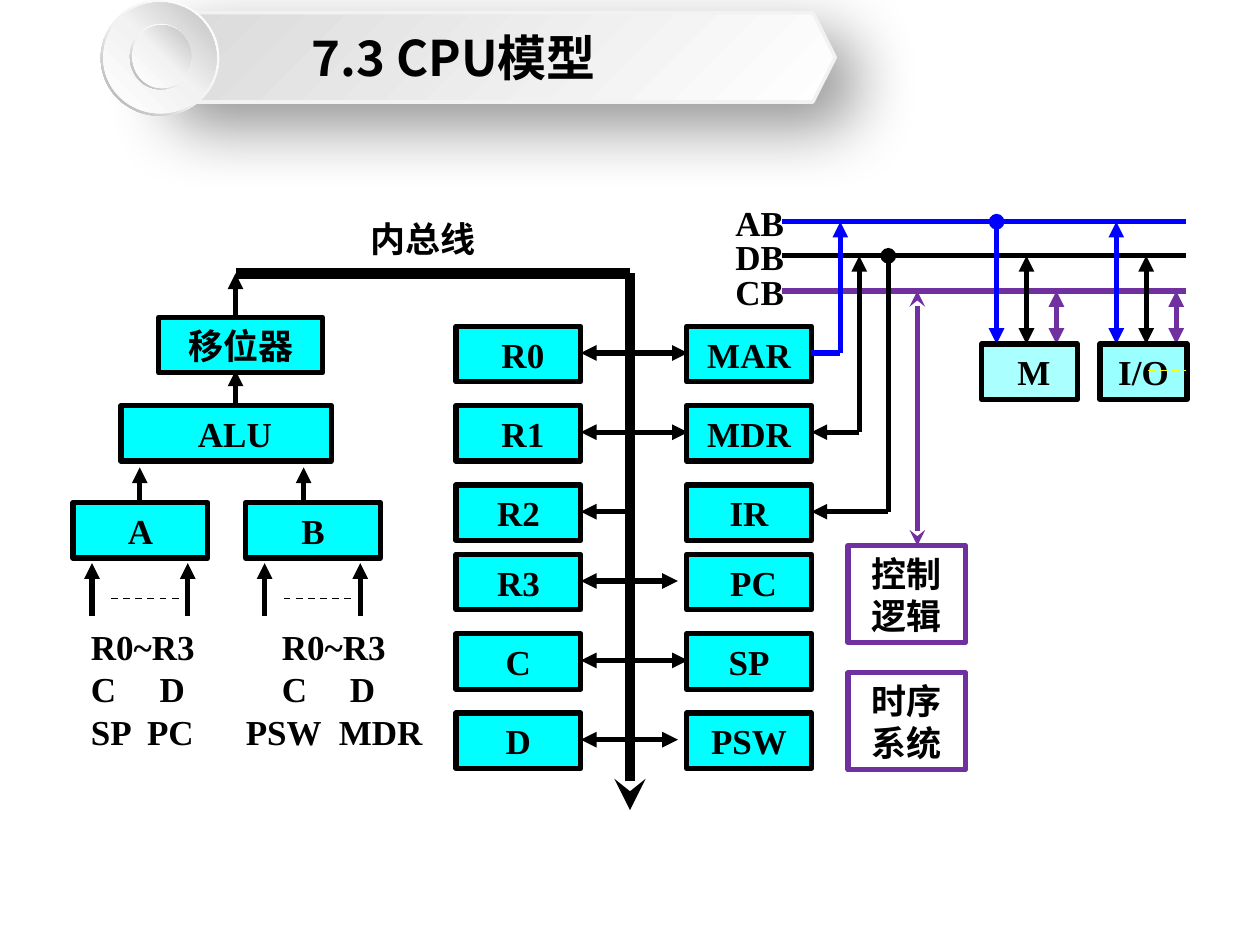
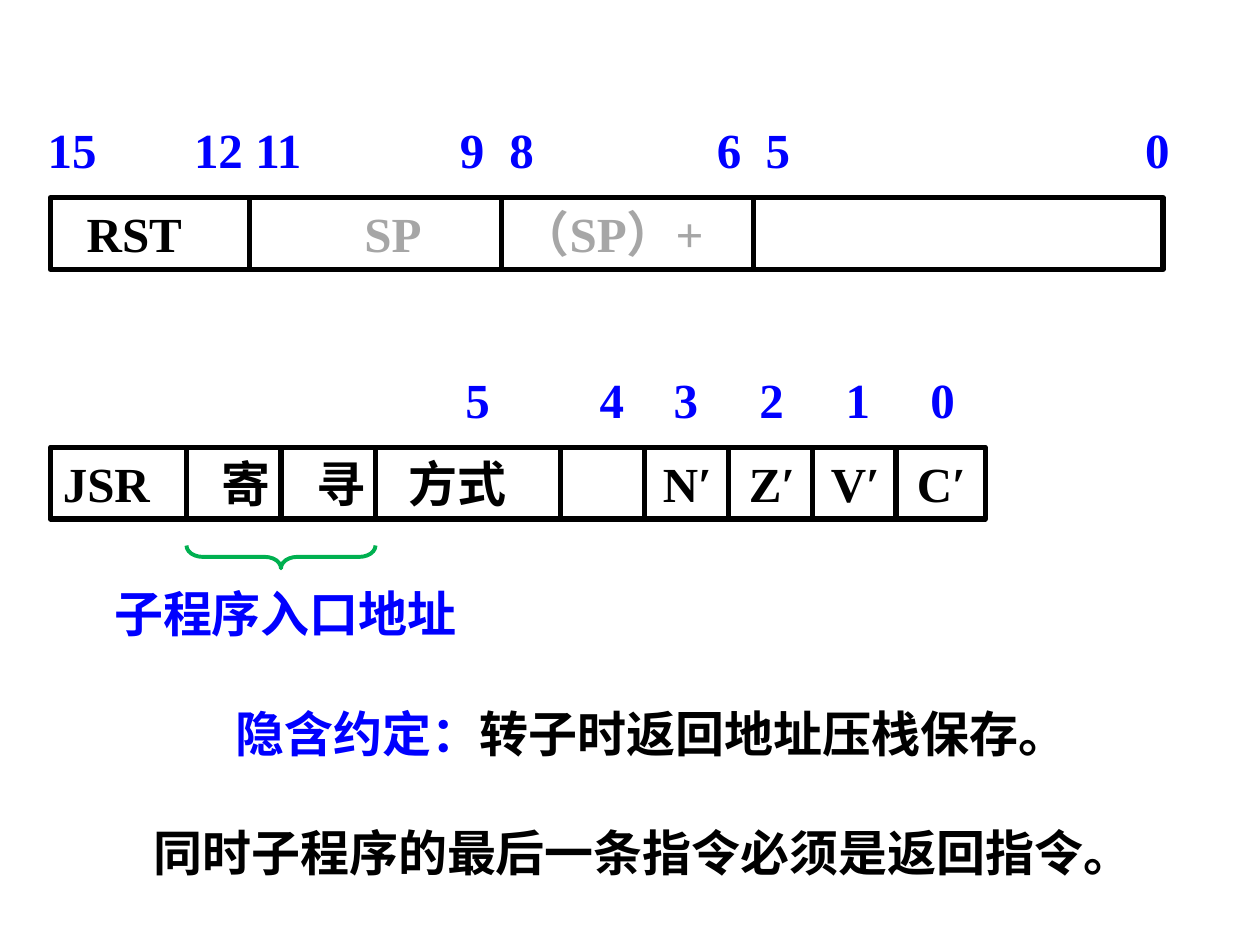
"""Builds two slides: a CPU model diagram and the RST and JSR instruction formats."""
from lxml.etree import SubElement
from pptx import Presentation
from pptx.dml.color import RGBColor
from pptx.enum.dml import MSO_LINE
from pptx.enum.shapes import MSO_CONNECTOR, MSO_SHAPE as SHAPE
from pptx.enum.text import MSO_ANCHOR, PP_ALIGN as ALIGN
from pptx.oxml.ns import qn
from pptx.util import Pt

BLACK = RGBColor(0, 0, 0)
BLUE = RGBColor(0, 0, 255)
PURPLE = RGBColor(0x70, 0x30, 0xA0)
GREEN = RGBColor(0, 0xB0, 0x50)
YELLOW = RGBColor(255, 255, 0)
GREY = RGBColor(0xA6, 0xA6, 0xA6)
PALE_GREY = RGBColor(0xF2, 0xF2, 0xF2)
CYAN = RGBColor(0, 255, 255)
MEMORY_CYAN = RGBColor(0xAA, 255, 255)
IO_CYAN = RGBColor(0x99, 255, 255)

SERIF = "Times New Roman"
SANS = "Noto Sans CJK SC"
INSET = 7.2
BOX_HEIGHT = 31.7
ROW_TOPS = [186.5, 231.8, 277.2, 316.8, 362.2, 407.5]
AB_Y, DB_Y, CB_Y = 126.7, 146.2, 166.3
BUS_X = 360
DEVICE_TOP = 196.6


def format_span(span, size, color, name=SERIF):
    """Give one run its bold font."""
    span.font.size = Pt(size)
    span.font.bold = True
    span.font.name = name
    span.font.color.rgb = color


def write(shape, text, size, color=BLACK, align=ALIGN.CENTER, name=SERIF):
    """Put one formatted paragraph into a shape."""
    frame = shape.text_frame
    frame.word_wrap = True
    frame.text = text
    para = frame.paragraphs[0]
    para.alignment = align
    for span in para.runs:
        format_span(span, size, color, name)


def write_tabbed(para, origin, cells, size, color=BLACK, faded=()):
    """Set words at absolute horizontal places with tab stops."""
    para.alignment = ALIGN.LEFT
    stops = SubElement(para._p.get_or_add_pPr(), qn("a:tabLst"))
    for x, word in cells:
        offset = x - origin
        if offset > 1:
            SubElement(stops, qn("a:tab"), pos=str(Pt(offset)), algn="l")
        span = para.add_run()
        span.text = f"\t{word}" if offset > 1 else word
        format_span(span, size, GREY if word in faded else color)


def add_label(page, text, left, top, width, height, size=20, color=BLACK, align=ALIGN.CENTER):
    """Add a plain text box."""
    label = page.shapes.add_textbox(Pt(left), Pt(top), Pt(width), Pt(height))
    write(label, text, size, color, align)
    return label


def add_outline(page, kind, left, top, width, height, fill=None, line=BLACK, weight=3):
    """Add a preset shape with an optional fill and line and no shadow."""
    shape = page.shapes.add_shape(kind, Pt(left), Pt(top), Pt(width), Pt(height))
    if fill is None:
        shape.fill.background()
    else:
        shape.fill.solid()
        shape.fill.fore_color.rgb = fill
    if line is None:
        shape.line.fill.background()
    else:
        shape.line.color.rgb = line
        shape.line.width = Pt(weight)
    shape.shadow.inherit = False
    return shape


def add_unit(page, text, left, top, width, height=BOX_HEIGHT, fill=CYAN, line=BLACK, shift=0):
    """Add a named block of the processor."""
    unit = add_outline(page, SHAPE.RECTANGLE, left, top, width, height, fill, line)
    write(unit, text, 20)
    unit.text_frame.margin_left = Pt(INSET + shift)


def add_line(page, x1, y1, x2, y2, color=BLACK, weight=3, head=None, tail=None, dashed=False):
    """Add a straight line with optional arrowheads."""
    line = page.shapes.add_connector(MSO_CONNECTOR.STRAIGHT, Pt(x1), Pt(y1), Pt(x2), Pt(y2))
    line.line.color.rgb = color
    line.line.width = Pt(weight)
    if dashed:
        line.line.dash_style = MSO_LINE.DASH
    outline = line.line._get_or_add_ln()
    for tag, kind in (("a:headEnd", head), ("a:tailEnd", tail)):
        if kind:
            SubElement(outline, qn(tag), type=kind)
    SubElement(line._element.spPr, qn("a:effectLst"))


def set_gradient(shape, stops, angle):
    """Replace the solid fill of a shape by a linear gradient."""
    properties = shape._element.spPr
    solid = properties.find(qn("a:solidFill"))
    gradient = SubElement(properties, qn("a:gradFill"), rotWithShape="1")
    properties.replace(solid, gradient)
    stop_list = SubElement(gradient, qn("a:gsLst"))
    for place, color in stops:
        stop = SubElement(stop_list, qn("a:gs"), pos=str(place * 1000))
        SubElement(stop, qn("a:srgbClr"), val=color)
    SubElement(gradient, qn("a:lin"), ang=str(angle * 60000), scaled="0")


def add_soft_shadow(shape):
    """Cast a wide soft shadow to the lower right."""
    effects = shape._element.spPr.find(qn("a:effectLst"))
    shadow = SubElement(effects, qn("a:outerShdw"), blurRad=str(Pt(38)), dist=str(Pt(19)),
                        dir=str(45 * 60000), algn="tl", rotWithShape="0")
    color = SubElement(shadow, qn("a:srgbClr"), val="000000")
    SubElement(color, qn("a:alpha"), val="42000")


def add_title_banner(page, text):
    """Add the hexagon title with its round button."""
    banner = add_outline(page, SHAPE.HEXAGON, 80.6, 7.2, 396.7, 51.1, PALE_GREY, PALE_GREY, 2)
    set_gradient(banner, [(0, "FFFFFF"), (100, "D9D9D9")], 225)
    add_soft_shadow(banner)
    write(banner, text, 28, name=SANS)
    banner.text_frame.margin_right = Pt(INSET + 39)
    for span in banner.text_frame.paragraphs[0].runs:
        SubElement(span.font._element, qn("a:ea"), typeface=SANS)
    rings = [(57.6, 0, 67.7, 66.2), (74.2, 13.7, 35.3, 37.4)]
    discs = [(59, 1.4, 64.8, 63.4), (75.6, 14.4, 33.8, 36)]
    for ring_area, disc_area in zip(rings, discs):
        ring = add_outline(page, SHAPE.DONUT, *ring_area, PALE_GREY, None)
        ring.adjustments[0] = 0.05
        set_gradient(ring, [(0, "FFFFFF"), (55, "F2F2F2"), (100, "A6A6A6")], 135)
        disc = add_outline(page, SHAPE.OVAL, *disc_area, PALE_GREY, None)
        set_gradient(disc, [(0, "FFFFFF"), (51, "F2F2F2"), (100, "BFBFBF")], 315)


def add_arithmetic_units(page):
    """Add the shifter, the ALU, its two latches and their sources."""
    for name, left in (("A", 41.8), ("B", 140.4)):
        for x in (left + 10.8, left + 65.5):
            add_line(page, x, 352, x, 321.8, tail="triangle")
        add_line(page, left + 21.6, 342, left + 60.5, 342, weight=1, dashed=True)
        add_unit(page, name, left, 287.3, 77)
    for x, bottom, top in ((79.9, 287.3, 267.1), (173.5, 287.3, 267.1),
                           (134.6, 231.1, 211.7), (134.6, 181.4, 156.2)):
        add_line(page, x, bottom, x, top, tail="triangle")
    add_unit(page, "移位器", 90.7, 181.4, 93.6)
    add_unit(page, "ALU", 69.1, 231.8, 120.2, shift=10)
    sources = page.shapes.add_textbox(Pt(20.2), Pt(362.2), Pt(235.4), Pt(74.9))
    frame = sources.text_frame
    frame.word_wrap = True
    rows = [[(52, "R0~R3"), (161.2, "R0~R3")],
            [(52, "C"), (91.4, "D"), (161.2, "C"), (200, "D")],
            [(52, "SP"), (84.2, "PC"), (140.6, "PSW"), (193.7, "MDR")]]
    for index, cells in enumerate(rows):
        para = frame.add_paragraph() if index else frame.paragraphs[0]
        write_tabbed(para, 20.2 + INSET, cells, 20)
        para.line_spacing = 0.6
        if index:
            para.space_before = Pt(10)


def add_registers(page):
    """Add the internal bus and the two register columns."""
    add_line(page, 134.6, 156.2, BUS_X, 156.2, weight=6)
    add_line(page, BUS_X, 156.2, BUS_X, 463, weight=6, tail="stealth")
    add_label(page, "内总线", 184.3, 121, 115.2, BOX_HEIGHT)
    left_names = ["R0", "R1", "R2", "R3", "C", "D"]
    right_names = ["MAR", "MDR", "IR", "PC", "SP", "PSW"]
    link_ends = [393.1, 393.1, BUS_X, 387.4, 393.1, 387.4]
    for top, left_name, right_name, end in zip(ROW_TOPS, left_names, right_names, link_ends):
        y = top + 15.2
        add_line(page, end, y, 331.9, y, head=None if end == BUS_X else "triangle", tail="triangle")
        add_unit(page, left_name, 260.6, top, 71.3, shift=5 if left_name in ("R0", "R1") else 0)
        add_unit(page, right_name, 392.4, top, 71.3, shift=5 if right_name == "PC" else 0)


def add_system_buses(page):
    """Add the address, data and control buses with all that hangs on them."""
    for name, y, color in (("AB", AB_Y, BLUE), ("DB", DB_Y, BLACK), ("CB", CB_Y, PURPLE)):
        add_line(page, 447.1, y, 677.5, y, color)
        add_label(page, name, 403.9, y - 15.1, 60.5, BOX_HEIGHT)
    for first_x, address_head in ((569.5, "oval"), (637.9, "triangle")):
        links = ((AB_Y, BLUE, address_head), (DB_Y, BLACK, "triangle"), (CB_Y, PURPLE, "triangle"))
        for index, (y, color, head) in enumerate(links):
            x = first_x + 17.1 * index
            add_line(page, x, y, x, DEVICE_TOP, color, head=head, tail="triangle")
    mar_y, mdr_y, ir_y = [top + 15.2 for top in ROW_TOPS[:3]]
    add_line(page, 463.7, mar_y, 480.2, mar_y, BLUE)
    add_line(page, 480.2, mar_y, 480.2, AB_Y, BLUE, tail="triangle")
    add_line(page, 491, mdr_y, 463.7, mdr_y, tail="triangle")
    add_line(page, 491, mdr_y, 491, DB_Y, tail="triangle")
    add_line(page, 507.6, DB_Y, 507.6, ir_y, head="oval")
    add_line(page, 507.6, ir_y, 463.7, ir_y, tail="triangle")
    add_line(page, 524.2, CB_Y, 524.2, 311.8, PURPLE, head="stealth", tail="stealth")
    add_unit(page, "M", 560.9, DEVICE_TOP, 54.7, fill=MEMORY_CYAN, shift=5)
    add_unit(page, "I/O", 628.6, DEVICE_TOP, 49.7, fill=IO_CYAN)
    add_line(page, 655.9, 211.7, 677.5, 211.7, YELLOW, 1, dashed=True)
    add_unit(page, "控制逻辑", 484.6, 311.8, 67, 55.4, None, PURPLE)
    add_unit(page, "时序系统", 484.6, 384.5, 67, 55.4, None, PURPLE)


def add_bit_numbers(page, left, top, width, cells):
    """Add the row of bit numbers above an instruction."""
    label = page.shapes.add_textbox(Pt(left), Pt(top), Pt(width), Pt(41))
    label.text_frame.word_wrap = True
    write_tabbed(label.text_frame.paragraphs[0], left + INSET, cells, 28, BLUE)


def add_instruction(page, top, width, cells, dividers, faded=()):
    """Add an instruction word split into fields."""
    word = add_outline(page, SHAPE.RECTANGLE, 28.8, top, width, 41)
    word.text_frame.word_wrap = True
    word.text_frame.vertical_anchor = MSO_ANCHOR.TOP
    write_tabbed(word.text_frame.paragraphs[0], 28.8 + INSET, cells, 28, faded=faded)
    for x in dividers:
        add_line(page, x, top, x, top + 39.6)


def build_cpu_model(page):
    """Fill the slide with the CPU model."""
    add_arithmetic_units(page)
    add_registers(page)
    add_system_buses(page)
    add_title_banner(page, "7.3 CPU模型")


def build_instruction_formats(page):
    """Fill the slide with the RST and JSR formats."""
    add_bit_numbers(page, 20.2, 64.8, 674.6, [
        (27.4, "15"), (111, "12"), (146, "11"), (262.9, "9"),
        (291.2, "8"), (409.7, "6"), (437.7, "5"), (654.5, "0")])
    add_instruction(page, 113, 635.8, [(49.7, "RST"), (208.4, "SP"), (297.7, "（SP）+")],
                    [142.6 + 144 * index for index in range(3)], ("SP", "（SP）+"))
    add_bit_numbers(page, 28.8, 207.4, 544.3, [
        (266, "5"), (342.8, "4"), (385, "3"), (434, "2"), (483.4, "1"), (531.8, "0")])
    add_instruction(page, 255.6, 534.2, [
        (36, "JSR"), (126.9, "寄"), (181, "寻"), (233.7, "方式"),
        (378.9, "N′"), (428, "Z′"), (474.9, "V′"), (524, "C′")],
        [106.6 + 54 * index for index in range(3)] + [320.4 + 47.9 * index for index in range(5)])
    brace = add_outline(page, SHAPE.LEFT_BRACE, 154.1, 264.2, 13, 108, None, GREEN, 2.25)
    brace.rotation = 270
    brace.adjustments[0] = 0.71
    add_label(page, "子程序入口地址", 42.5, 329.8, 241.2, 41, 28, BLUE)
    rule = add_label(page, "隐含约定：", 127.4, 398.2, 496.1, 41, 28, BLUE, ALIGN.LEFT)
    span = rule.text_frame.paragraphs[0].add_run()
    span.text = "转子时返回地址压栈保存。"
    format_span(span, 28, BLACK)
    add_label(page, "同时子程序的最后一条指令必须是返回指令。", 80.6, 466.6, 575.3, 41, 28, align=ALIGN.LEFT)


def main():
    """Build and save the deck."""
    deck = Presentation()
    deck.slide_width, deck.slide_height = Pt(720), Pt(540)
    for build in (build_cpu_model, build_instruction_formats):
        build(deck.slides.add_slide(deck.slide_layouts[6]))
    deck.save("out.pptx")


if __name__ == "__main__":
    main()
